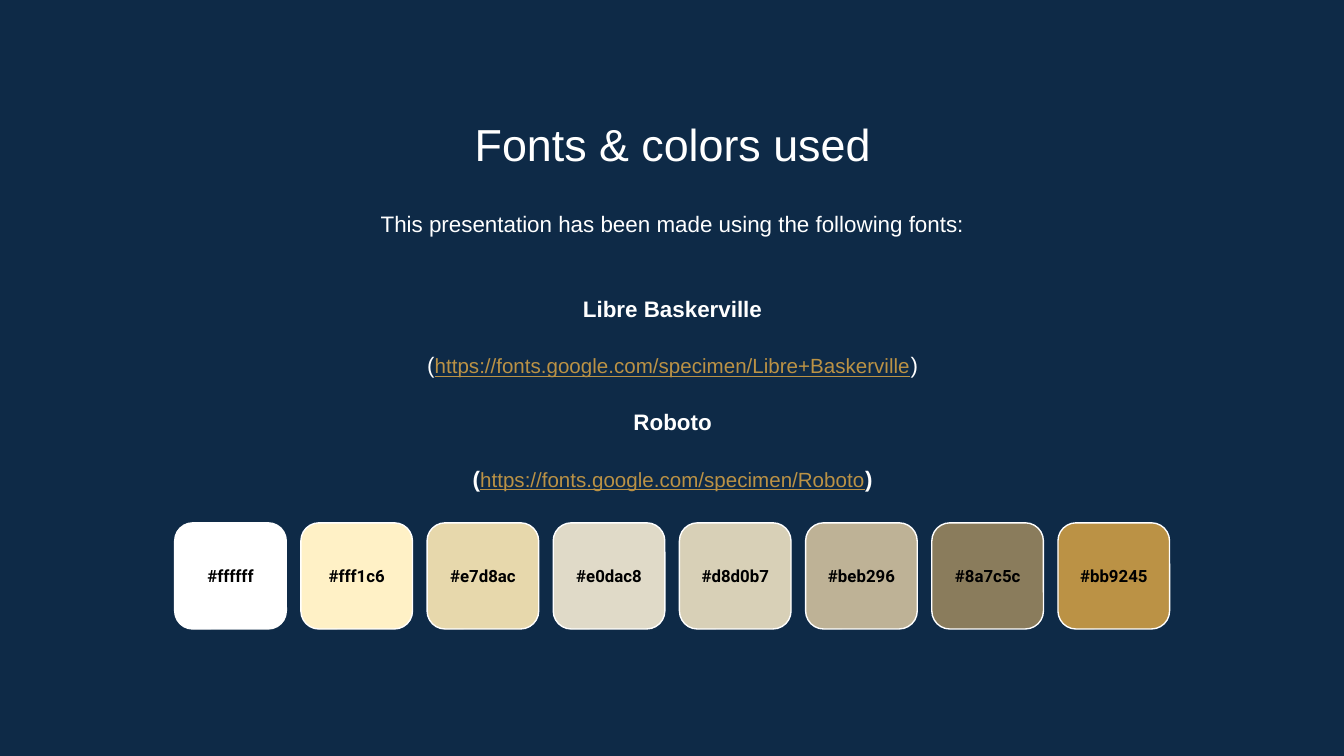
import pptx
import pptx.util
import pptx.dml.color
import pptx.enum.shapes
import pptx.enum.text
import pptx.oxml

Pt = pptx.util.Pt
ANCHOR = pptx.enum.text.MSO_ANCHOR
WHITE, GOLD, NAVY, BLACK = "FFFFFF", "BB9245", "0E2A47", "000000"
LEFT, WIDE = 82.8, 555.1
COLORS = ["ffffff", "fff1c6", "e7d8ac", "e0dac8",
          "d8d0b7", "beb296", "8a7c5c", "bb9245"]
FONTS = [
    ("Libre Baskerville", "https://fonts.google.com/specimen/Libre+Baskerville", False),
    ("Roboto", "https://fonts.google.com/specimen/Roboto", True),
]


def paint(target, color):
    if hasattr(target, "solid"):
        target.solid()
        target.fore_color.rgb = pptx.dml.color.RGBColor.from_string(color.upper())
    else:
        target.color.rgb = pptx.dml.color.RGBColor.from_string(color.upper())


def style(font, size, color, bold=False, line=False):
    font.size = Pt(size)
    font.bold = bold
    font.underline = line
    paint(font, color)


def place(shape, left, top, width, height):
    shape.left, shape.top = Pt(left), Pt(top)
    shape.width, shape.height = Pt(width), Pt(height)


def frame(shape, anchor):
    text = shape.text_frame
    text.word_wrap = True
    text.auto_size = pptx.enum.text.MSO_AUTO_SIZE.NONE
    text.vertical_anchor = anchor
    text.margin_left = text.margin_right = Pt(7.2)
    text.margin_top = text.margin_bottom = Pt(7.2)
    return text


def align(para, name="Arial", before=0):
    props = para._p.get_or_add_pPr()
    props.set("marL", "0")
    props.set("indent", "0")
    para.alignment = pptx.enum.text.PP_ALIGN.CENTER
    para.line_spacing = 1.0
    para.space_before = Pt(before)
    pptx.oxml.ns.qn("a:buNone")
    props.append(pptx.oxml.parse_xml(
        '<a:buNone xmlns:a="http://schemas.openxmlformats.org/drawingml/2006/main"/>'))
    para.font.name = name


def fill_line(holder, top, height, words, size, space=1.0):
    place(holder, LEFT, top, WIDE, height)
    para = frame(holder, ANCHOR.TOP).paragraphs[0]
    align(para)
    para.line_spacing = space
    para.add_run().text = words
    style(para.font, size, WHITE)


def list_fonts(holder):
    place(holder, LEFT, 169.2, WIDE, 83)
    text = frame(holder, ANCHOR.MIDDLE)
    para = text.paragraphs[0]
    for name, link, bold in FONTS:
        if name != FONTS[0][0]:
            para = text.add_paragraph()
        align(para, before=0 if name == FONTS[0][0] else 16)
        para.add_run().text = name
        style(para.font, 12, WHITE, True)
        para = text.add_paragraph()
        align(para, before=16)
        for words in ("(", link, ")"):
            run = para.add_run()
            run.text = words
            if words == link:
                style(run.font, 11, GOLD, line=True)
            else:
                style(run.font, 12, WHITE, bold)


def add_swatch(slide, left, color):
    kind = pptx.enum.shapes.MSO_SHAPE.ROUNDED_RECTANGLE
    tile = slide.shapes.add_shape(kind, Pt(left), Pt(280.1), Pt(59.8), Pt(56.9))
    tile.shadow.inherit = False
    tile.adjustments[0] = 0.17
    paint(tile.fill, color)
    paint(tile.line.fill, WHITE)
    tile.line.width = Pt(0.75)
    label = slide.shapes.add_textbox(Pt(left), Pt(291.8), Pt(59.8), Pt(33.1))
    para = frame(label, ANCHOR.MIDDLE).paragraphs[0]
    align(para, "Roboto")
    para.add_run().text = "#" + color
    style(para.font, 9, BLACK, True)


def main():
    deck = pptx.Presentation()
    deck.slide_width, deck.slide_height = Pt(720), Pt(405)
    slide = deck.slides.add_slide(deck.slide_layouts[3])
    paint(slide.background.fill, NAVY)
    title, intro, fonts = slide.placeholders
    fill_line(title, 55.4, 38.2, "Fonts & colors used", 24)
    fill_line(intro, 103, 34.6,
              "This presentation has been made using the following fonts:", 12, 1.15)
    list_fonts(fonts)
    for index, color in enumerate(COLORS):
        add_swatch(slide, 93.6 + 67.6 * index, color)
    deck.save("out.pptx")


if __name__ == "__main__":
    main()
